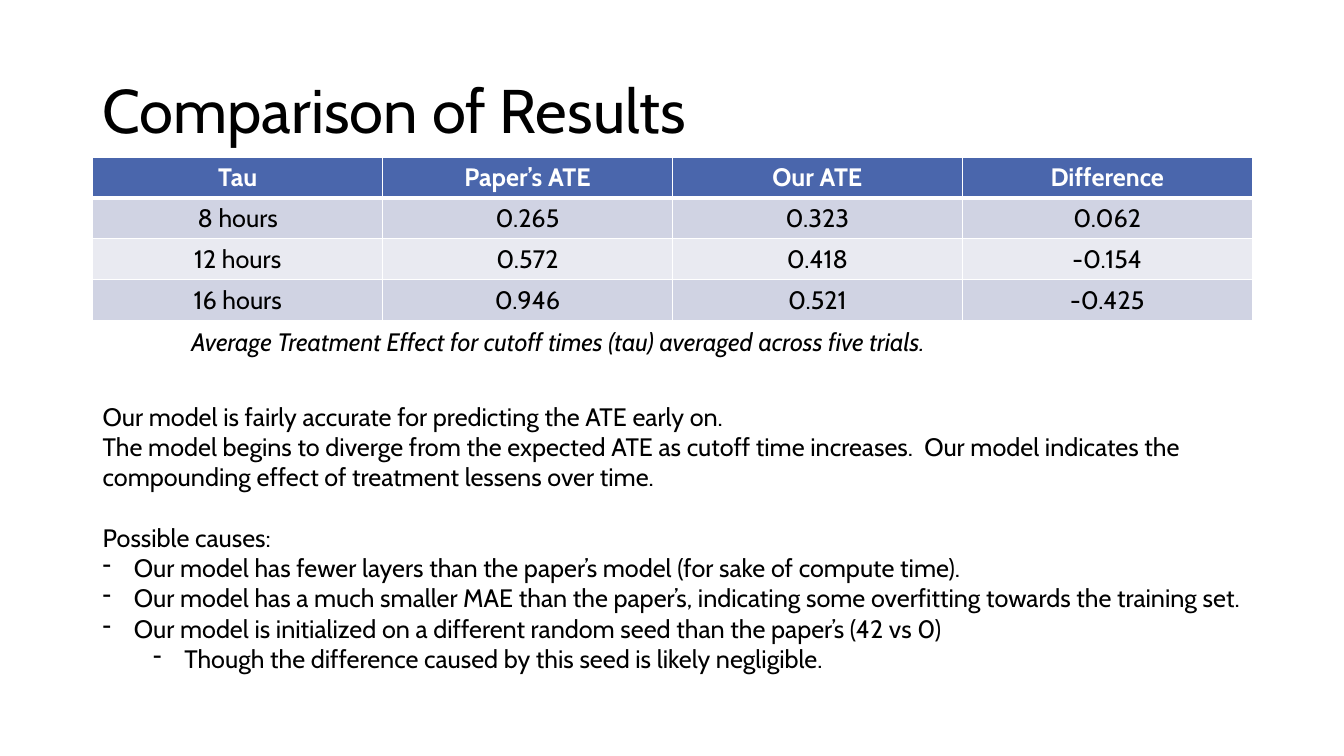
from pptx import Presentation
from pptx.dml.color import RGBColor
from pptx.enum.text import MSO_ANCHOR as Anchor, PP_ALIGN as Align
from pptx.oxml.ns import qn
from pptx.util import Inches, Pt
from lxml.etree import SubElement, Element

deck = Presentation()
deck.slide_width, deck.slide_height = Inches(13.33), Inches(7.5)
slide = deck.slides.add_slide(deck.slide_layouts[6])

# Shared grid
LEFT, WIDE = 0.92, 11.5
ROW = 0.405
BASE = {"name": "Cabin", "size": Pt(18)}


def write(par, text, color="000000", **extra):
    run = par.add_run()
    run.text = text
    for key, value in {**BASE, **extra}.items():
        setattr(run.font, key, value)
    run.font.color.rgb = RGBColor.from_string(color)


def add_box(left, top, width, height):
    box = slide.shapes.add_textbox(*map(Inches, (left, top, width, height)))
    box.text_frame.word_wrap = True
    return box.text_frame


# Title
frame = add_box(LEFT, 0.4, WIDE, 1.45)
frame.vertical_anchor = Anchor.MIDDLE
title = frame.paragraphs[0]
title.line_spacing = 0.9
write(title, "Comparison of Results", size=Pt(44))

# Results table
rows = [
    ("Tau", "Paper’s ATE", "Our ATE", "Difference"),
    ("8 hours", "0.265", "0.323", "0.062"),
    ("12 hours", "0.572", "0.418", "-0.154"),
    ("16 hours", "0.946", "0.521", "-0.425"),
]
fills = ["4A66AC", "D0D3E3", "E9EAF1", "D0D3E3"]
table = slide.shapes.add_table(
    len(rows), len(rows[0]), Inches(LEFT), Inches(1.56),
    Inches(WIDE), Inches(ROW * len(rows))).table

for r, row in enumerate(rows):
    head = r == 0
    # A thick rule parts the header from the body
    edges = {"lnL": 1, "lnR": 1, "lnT": 3 if r == 1 else 1, "lnB": 3 if head else 1}
    for c, text in enumerate(row):
        cell = table.cell(r, c)
        par = cell.text_frame.paragraphs[0]
        par.alignment = Align.CENTER
        write(par, text, "FFFFFF" if head else "000000", bold=head)
        cell.fill.solid()
        cell.fill.fore_color.rgb = RGBColor.from_string(fills[r])
        props = cell._tc.get_or_add_tcPr()
        for i, (edge, width) in enumerate(edges.items()):
            line = Element(qn(f"a:{edge}"), w=str(Pt(width)))
            paint = SubElement(line, qn("a:solidFill"))
            SubElement(paint, qn("a:srgbClr"), val="FFFFFF")
            props.insert(i, line)

# Findings: text, bullet depth (None for plain), space before in points
notes = [
    ("Our model is fairly accurate for predicting the ATE early on.", None, 0),
    ("The model begins to diverge from the expected ATE as cutoff time increases.  "
     "Our model indicates the compounding effect of treatment lessens over time.", None, 0),
    ("Possible causes:", None, 21.8),
    ("Our model has fewer layers than the paper’s model (for sake of compute time).", 0, 0),
    ("Our model has a much smaller MAE than the paper’s, "
     "indicating some overfitting towards the training set.", 0, 0),
    ("Our model is initialized on a different random seed than the paper’s (42 vs 0)", 0, 0),
    ("Though the difference caused by this seed is likely negligible.", 1, 0),
]
frame = add_box(LEFT, 3.93, WIDE, 3.13)
for n, (text, depth, gap) in enumerate(notes):
    par = frame.add_paragraph() if n else frame.paragraphs[0]
    par.space_before = Pt(gap)
    write(par, text)
    if depth is not None:
        par.level = depth
        props = par._p.get_or_add_pPr()
        props.set("marL", str(Inches(0.31 + 0.5 * depth)))
        props.set("indent", str(Inches(-0.31)))
        SubElement(props, qn("a:buChar"), char="-")

# Table caption
frame = add_box(1.8, 3.19, 10.1, 0.4)
write(frame.paragraphs[0],
      "Average Treatment Effect for cutoff times (tau) averaged across five trials.",
      italic=True)

deck.save("out.pptx")
